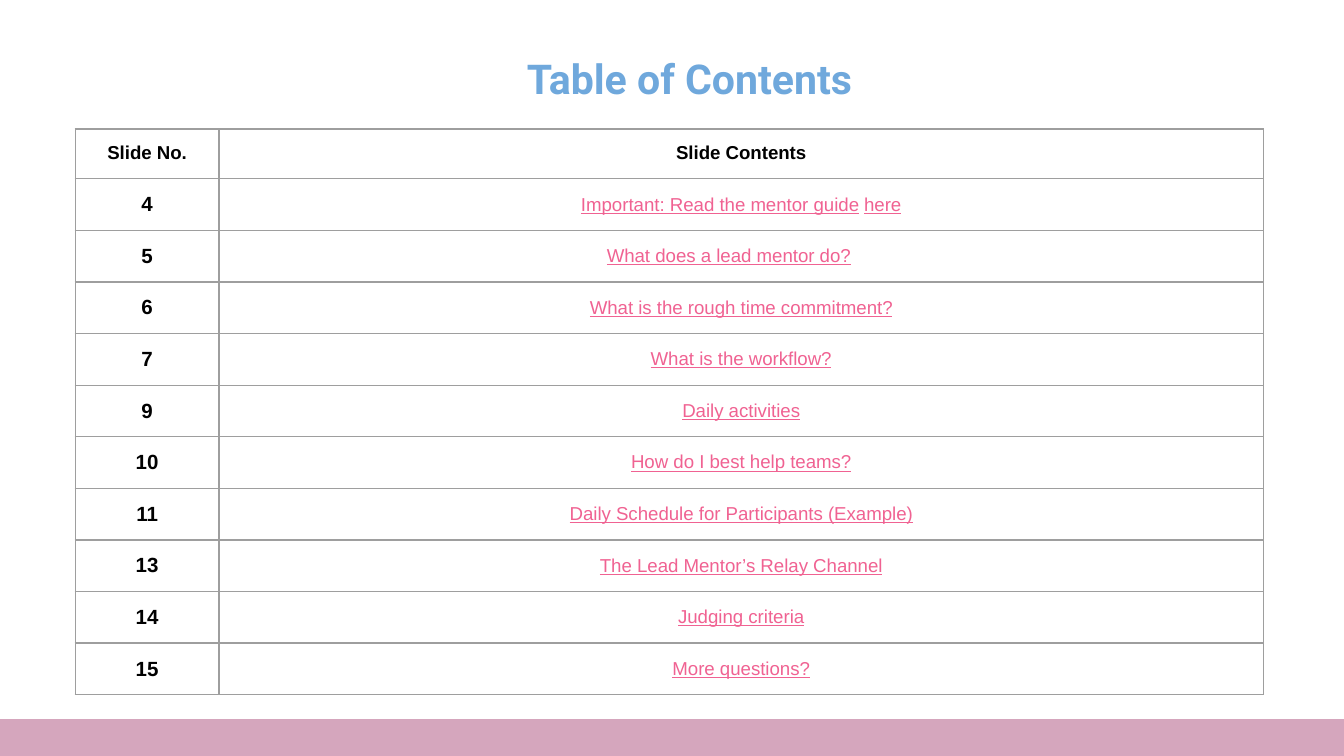
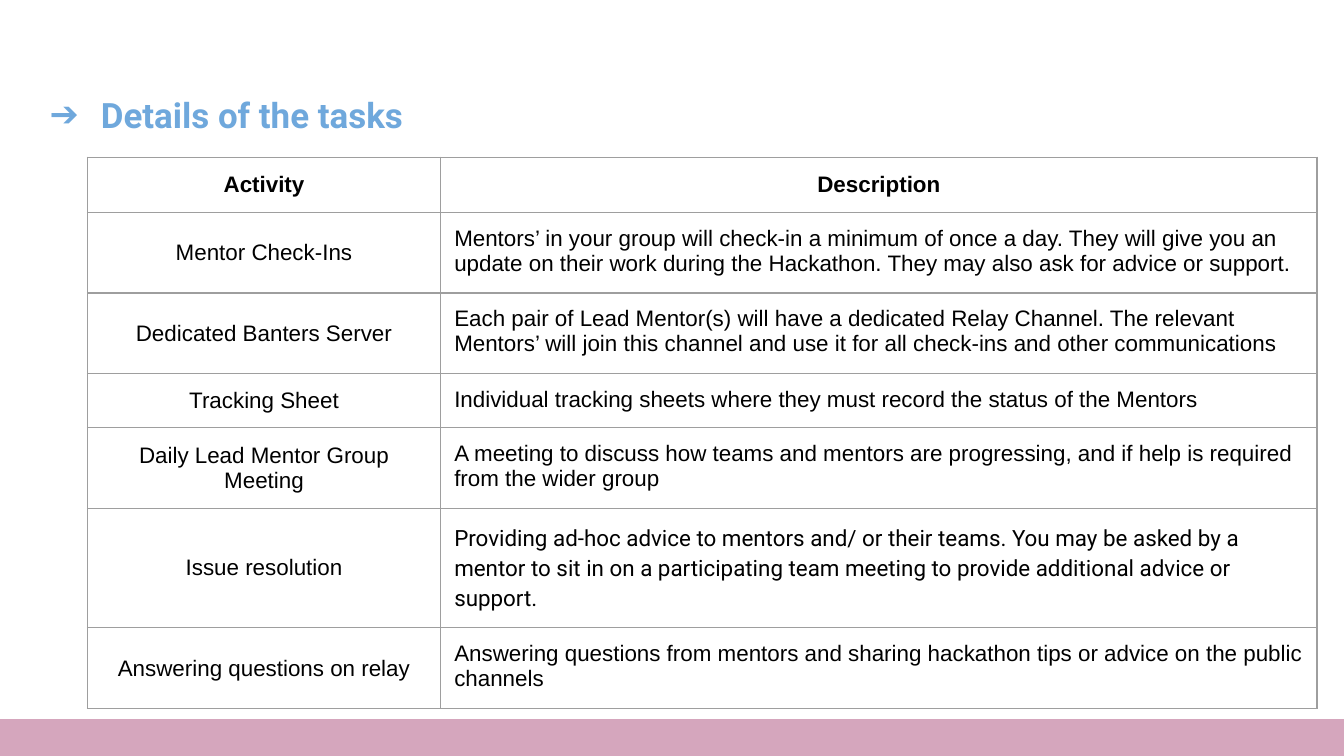
from dataclasses import dataclass, replace
from typing import Any, NamedTuple

from lxml import etree
from pptx import Presentation
from pptx.dml.color import RGBColor
from pptx.enum.shapes import MSO_SHAPE
from pptx.enum.text import MSO_ANCHOR, MSO_AUTO_SIZE, PP_ALIGN
from pptx.oxml.ns import qn
from pptx.util import Inches, Pt

RECT = MSO_SHAPE.RECTANGLE
TOP, MID = MSO_ANCHOR.TOP, MSO_ANCHOR.MIDDLE
LEFT, MIDDLE = PP_ALIGN.LEFT, PP_ALIGN.CENTER
GROW = MSO_AUTO_SIZE.SHAPE_TO_FIT_TEXT

COLORS = {
    "band": "D5A6BD",
    "title": "6FA8DC",
    "text": "000000",
    "link": "F06292",
    "grid": "9E9E9E",
}
WIDE = Inches(10)
HIGH = WIDE * 9 // 16
PAD = Inches(0.1)
TITLE_ONLY = 5


class Box(NamedTuple):
    """Left, top, width and height in percent of the slide."""
    x: float
    y: float
    w: float
    h: float


@dataclass(frozen=True)
class Look:
    size: float
    color: str = "text"
    bold: bool = False
    line: bool = False
    font: str = "Arial"
    align: Any = MIDDLE
    anchor: Any = MID
    space: float | None = None


class Run(NamedTuple):
    text: str
    look: Look


class Grid(NamedTuple):
    """Columns and rows are in percent of the slide."""
    box: Box
    cols: list[float]
    rows: list[float]
    cells: list[list[list[Run]]]


def across(share: float) -> int:
    return round(WIDE * share / 100)


def down(share: float) -> int:
    return round(HIGH * share / 100)


def spots(box: Box) -> dict[str, int]:
    return {"left": across(box.x), "top": down(box.y),
            "width": across(box.w), "height": down(box.h)}


def assign(item: Any, values: dict[str, Any]) -> None:
    for name, value in values.items():
        setattr(item, name, value)


def margins() -> dict[str, int]:
    return {"margin_" + edge: PAD for edge in ("left", "right", "top", "bottom")}


def rgb(name: str) -> RGBColor:
    return RGBColor.from_string(COLORS[name])


def write(para: Any, runs: list[Run]) -> None:
    first = runs[0].look
    assign(para, {"alignment": first.align, "line_spacing": first.space})
    for text, look in runs:
        run = para.add_run()
        run.text = text
        assign(run.font, {"size": Pt(look.size), "name": look.font,
                          "bold": look.bold, "underline": look.line})
        run.font.color.rgb = rgb(look.color)


def paint(parent: Any, tag: str, color: str) -> None:
    holder = etree.SubElement(parent, qn(tag))
    etree.SubElement(holder, qn("a:srgbClr"), val=COLORS[color])


def border(cell: Any) -> None:
    props = cell._tc.get_or_add_tcPr()
    for spot, side in enumerate(("a:lnL", "a:lnR", "a:lnT", "a:lnB")):
        line = etree.Element(qn(side), w=str(Pt(0.75)))
        paint(line, "a:solidFill", "grid")
        props.insert(spot, line)


def arrow(para: Any, font: str) -> None:
    props = para._p.get_or_add_pPr()
    props.set("marL", str(Inches(0.5)))
    props.set("indent", str(-Inches(0.38)))
    paint(props, "a:buClr", "title")
    etree.SubElement(props, qn("a:buFont"), typeface=font)
    etree.SubElement(props, qn("a:buChar"), char="➔")


def add_title(slide: Any, box: Box, text: str, look: Look) -> Any:
    title = slide.shapes.title
    assign(title, spots(box))
    frame = title.text_frame
    assign(frame, margins() | {"word_wrap": True, "auto_size": GROW,
                               "vertical_anchor": look.anchor})
    para = frame.paragraphs[0]
    write(para, [Run(text, look)])
    return para


def add_grid(slide: Any, grid: Grid) -> None:
    frame = slide.shapes.add_table(len(grid.rows), len(grid.cols),
                                   **spots(grid.box))
    table = frame.table
    assign(table, {"first_row": False, "horz_banding": False})
    for col, share in zip(table.columns, grid.cols):
        col.width = across(share)
    for row, share, line in zip(table.rows, grid.rows, grid.cells):
        row.height = down(share)
        for cell, runs in zip(row.cells, line):
            assign(cell, margins() | {"vertical_anchor": runs[0].look.anchor})
            cell.fill.background()
            border(cell)
            write(cell.text_frame.paragraphs[0], runs)
    frame.height = down(grid.box.h)


def add_band(deck: Any, slide: Any) -> None:
    """Put the footer band on the master, behind every slide."""
    band = slide.shapes.add_shape(RECT, **spots(Box(0, 95.11, 100, 4.89)))
    band.shadow.inherit = False
    band.fill.solid()
    band.fill.fore_color.rgb = rgb("band")
    band.line.fill.background()
    band.element.nvSpPr.cNvPr.id = 99
    deck.slide_master.shapes.element.insert(2, band.element)


# Text looks
HEAD = Look(22, "title", bold=True, font="Roboto", anchor=TOP)
TASK = replace(HEAD, size=18.7, align=LEFT)
LABEL = Look(10, bold=True, anchor=TOP)
NUMBER = Look(11, bold=True)
PLAIN = Look(10)
LINK = Look(10, "link", line=True)
NAME = Look(12)
CAP = replace(NAME, bold=True)
NOTE = replace(NAME, align=LEFT, anchor=TOP)
ADVICE = replace(NOTE, font="Roboto", space=1.15)

# Table of contents: slide number and linked title
TOPICS = {
    "4": "Important: Read the mentor guide|here",
    "5": "What does a lead mentor do?\t",
    "6": "What is the rough time commitment?",
    "7": "What is the workflow?",
    "9": "Daily activities",
    "10": "How do I best help teams?",
    "11": "Daily Schedule for Participants (Example)",
    "13": "The Lead Mentor’s Relay Channel",
    "14": "Judging criteria",
    "15": "More questions?",
}

# Tasks: activity, description and its look
TASKS = [
    ("Mentor Check-Ins",
     "Mentors’ in your group will check-in a minimum of once a day. They will "
     "give you an update on their work during the Hackathon. They may also "
     "ask for advice or support.", NOTE),
    ("Dedicated Banters Server",
     "Each pair of Lead Mentor(s) will have a dedicated Relay Channel. The "
     "relevant Mentors’ will join this channel and use it for all check-ins "
     "and other communications", NOTE),
    ("Tracking Sheet",
     "Individual tracking sheets where they must record the status of the "
     "Mentors", NOTE),
    ("Daily Lead Mentor Group Meeting",
     "A meeting to discuss how teams and mentors are progressing, and if "
     "help is required from the wider group", NOTE),
    ("Issue resolution",
     "Providing ad-hoc advice to mentors and/ or their teams. You may be "
     "asked by a mentor to sit in on a participating team meeting to provide "
     "additional advice or support.", ADVICE),
    ("Answering questions on relay",
     "Answering questions from mentors and sharing hackathon tips or advice "
     "on the public channels", NOTE),
]


def links(text: str) -> list[Run]:
    """Link each part, with a plain space between parts."""
    first, *rest = text.split("|")
    runs = [Run(first, LINK)]
    for part in rest:
        runs += [Run(" ", PLAIN), Run(part, LINK)]
    return runs


def contents(slide: Any) -> None:
    add_title(slide, Box(24.3, 5.33, 54, 10.13), "Table of Contents", HEAD)
    cells = [[[Run("Slide No.", LABEL)], [Run("Slide Contents", LABEL)]]]
    cells += [[[Run(no, NUMBER)], links(text)] for no, text in TOPICS.items()]
    add_grid(slide, Grid(Box(5.6, 17.07, 88.4, 74.67), [10.7, 77.7],
                         [6.58] + [5.51] * len(TOPICS), cells))


def details(slide: Any) -> None:
    para = add_title(slide, Box(1.5, 10.67, 93.2, 9.24),
                     "Details of the tasks", TASK)
    arrow(para, TASK.font)
    cells = [[[Run("Activity", CAP)], [Run("Description", CAP)]]]
    cells += [[[Run(name, NAME)], [Run(text, look)]]
              for name, text, look in TASKS]
    two = 10.13  # height of a row with two lines
    add_grid(slide, Grid(Box(6.5, 20.8, 91.5, 72.71), [26.3, 65.2],
                         [7.29, two, two, 6.76, two, 14.58, two], cells))


def main() -> None:
    deck = Presentation()
    assign(deck, {"slide_width": WIDE, "slide_height": HIGH})
    layout = deck.slide_layouts[TITLE_ONLY]
    first, second = (deck.slides.add_slide(layout) for _ in range(2))
    add_band(deck, first)
    contents(first)
    details(second)
    deck.save("out.pptx")


if __name__ == "__main__":
    main()
